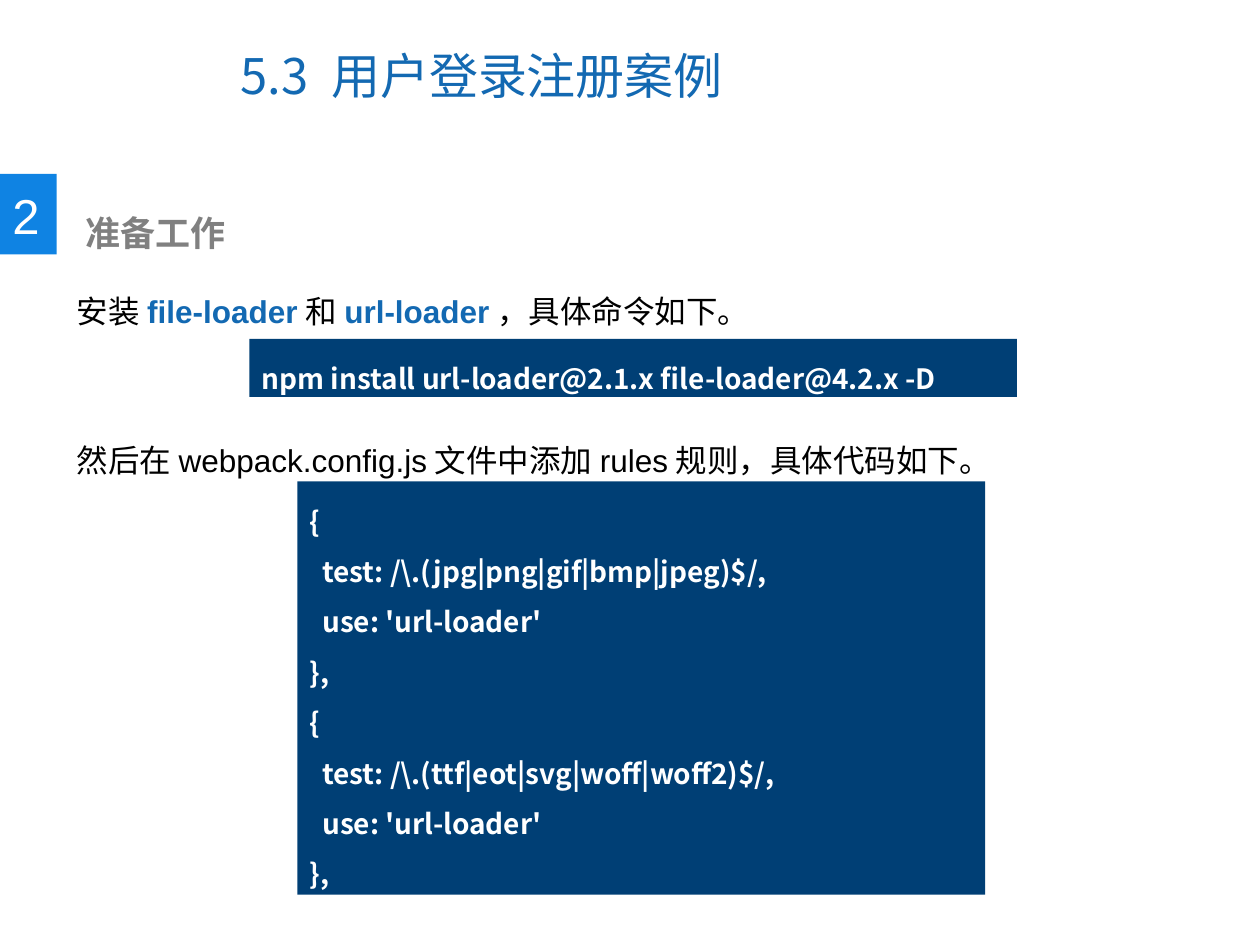
import pptx
import pptx.util
import pptx.dml.color
import pptx.enum.shapes
import pptx.enum.text
from lxml import etree
from pptx.oxml.ns import qn

Inches, Pt = pptx.util.Inches, pptx.util.Pt
ALIGN, ANCHOR = pptx.enum.text.PP_ALIGN, pptx.enum.text.MSO_ANCHOR

# Content: a paragraph is (indent, [(text, style), ...])
COLORS = {"blue": "1369B2", "badge": "0F83E3", "navy": "003F75",
          "gray": "808080", "black": "000000", "white": "FFFFFF"}
CJK = "Noto Sans CJK SC"
STYLES = {  # size, font, colour, bold
    "title": (28, CJK, "blue", False),
    "number": (28, "Arial", "white", False),
    "heading": (20, "Arial", "gray", True),
    "body": (18, "Arial", "black", False),
    "term": (18, "Arial", "blue", True),
    "code": (16, CJK, "white", True),
}
TITLE = [(0, [("5.3 用户登录注册案例", "title")])]
NUMBER = [(0, [("2", "number")])]
HEADING = [(0.1, [("准备工作", "heading")])]
INSTALL = [(0, [("安装", "body"), ("file-loader", "term"), ("和", "body"),
                ("url-loader", "term"), (",具体命令如下。".replace(",", "，"), "body")])]
RULES = [(0, [("然后在webpack.config.js文件中添加rules规则，具体代码如下。", "body")])]
COMMAND = [(0, [("npm install url-loader@2.1.x file-loader@4.2.x -D", "code")])]
CODE = [(0.1 if line[0] in "tu" else 0, [(line, "code")])
        for types in ("jpg|png|gif|bmp|jpeg", "ttf|eot|svg|woff|woff2")
        for line in ("{", f"test: /\\.({types})$/,", "use: 'url-loader'", "},")]

# Position, paragraphs, line spacing, fill
BLOCKS = [
    ((0, 1.38, 0.45, 0.64), [], 1, "badge"),
    ((0, 1.42, 0.42, 0.57), NUMBER, 1, None),
    ((0.48, 1.63, 5.14, 0.44), HEADING, 1, None),
    ((0.51, 1.97, 9.15, 0.71), INSTALL, 2, None),
    ((1.98, 2.69, 6.09, 0.46), COMMAND, 1.5, "navy"),
    ((0.51, 3.15, 7.99, 0.71), RULES, 2, None),
    ((2.36, 3.82, 5.46, 3.28), CODE, 1.5, "navy"),
]


def rgb(name):
    return pptx.dml.color.RGBColor.from_string(COLORS[name])


def write(tf, paragraphs, spacing, anchor):
    tf.word_wrap = True
    tf.vertical_anchor = anchor
    for i, (indent, runs) in enumerate(paragraphs):
        p = tf.add_paragraph() if i else tf.paragraphs[0]
        p.alignment, p.line_spacing = ALIGN.LEFT, spacing
        if indent:
            p._p.get_or_add_pPr().set("marL", str(Inches(indent)))
        for text, style in runs:
            size, font, color, bold = STYLES[style]
            r = p.add_run()
            r.text = text
            for key, value in {"size": Pt(size), "name": font, "bold": bold}.items():
                setattr(r.font, key, value)
            r.font.color.rgb = rgb(color)
            ea = etree.SubElement(r._r.get_or_add_rPr(), qn("a:ea"))
            ea.set("typeface", CJK)


prs = pptx.Presentation()
prs.slide_width, prs.slide_height = Inches(10), Inches(7.5)
s = prs.slides.add_slide(prs.slide_layouts[5])

# Title
title = s.shapes.title
title.left, title.top, title.width, title.height = map(Inches, (1.81, 0.17, 5.16, 0.85))
write(title.text_frame, TITLE, 1, ANCHOR.MIDDLE)

# Badge, heading, paragraphs and code panels
for box, paragraphs, spacing, fill in BLOCKS:
    at = [Inches(v) for v in box]
    if fill:
        sp = s.shapes.add_shape(pptx.enum.shapes.MSO_SHAPE.RECTANGLE, *at)
        sp.shadow.inherit = False
        sp.fill.solid()
        sp.fill.fore_color.rgb = rgb(fill)
        sp.line.fill.background()
    else:
        sp = s.shapes.add_textbox(*at)
    write(sp.text_frame, paragraphs, spacing, ANCHOR.TOP)

prs.save("out.pptx")
